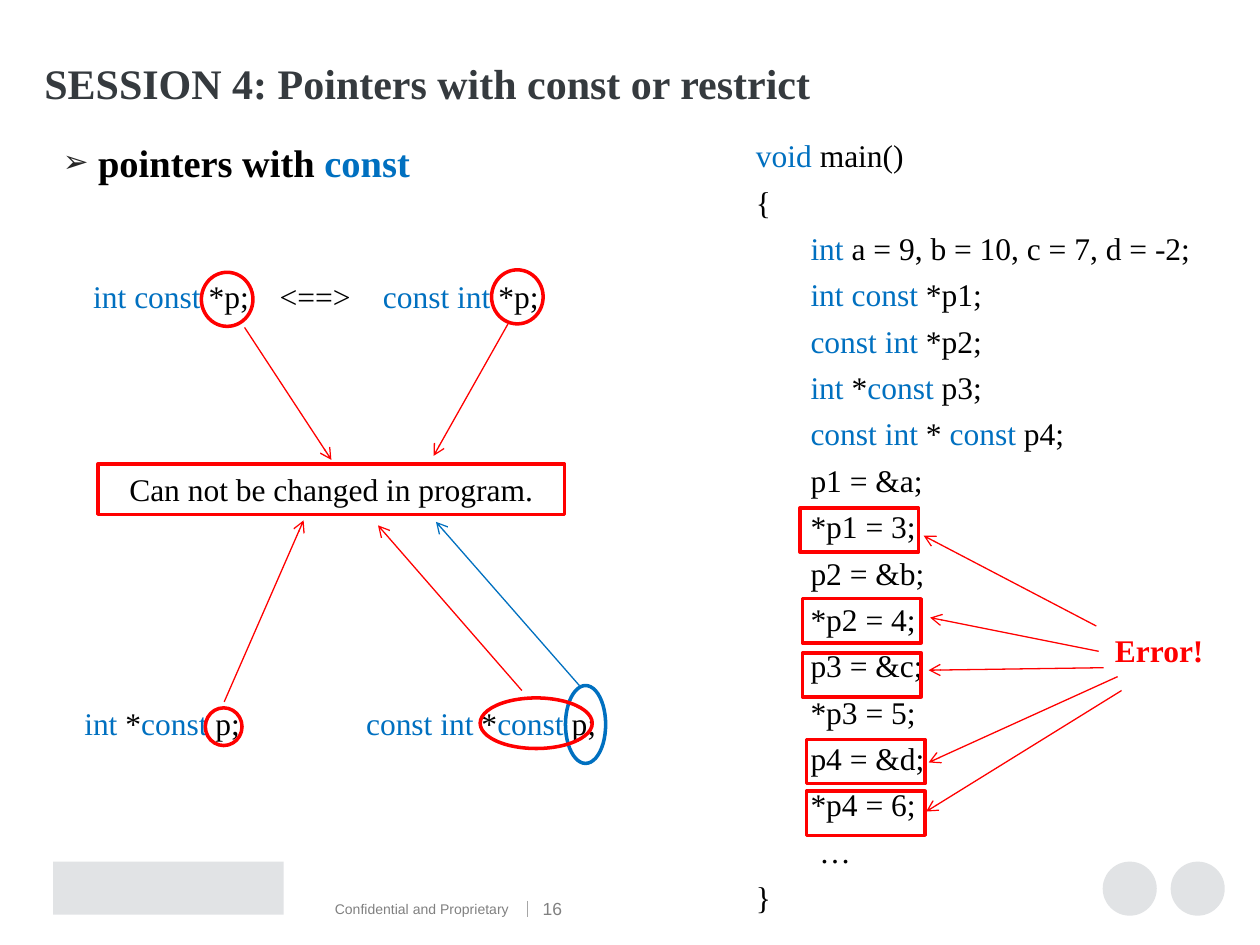
"""Build the slide on pointers with const or restrict."""
from lxml import etree
from pptx import Presentation
from pptx.dml.color import RGBColor
from pptx.enum.shapes import MSO_CONNECTOR, MSO_SHAPE
from pptx.enum.text import MSO_ANCHOR, PP_ALIGN
from pptx.oxml.ns import qn
from pptx.util import Cm, Pt

LINE = MSO_CONNECTOR.STRAIGHT
RECT, OVAL = MSO_SHAPE.RECTANGLE, MSO_SHAPE.OVAL
LEFT, MID = PP_ALIGN.LEFT, PP_ALIGN.CENTER
CENTER = MSO_ANCHOR.MIDDLE
SERIF, SANS = "Times New Roman", "Arial"
HEX = {"red": "FF0000", "blue": "0070C0", "black": "000000", "title": "353A3E",
       "gray": "808080", "rule": "A6A6A6", "pale": "E1E3E5", "bullet": "262626"}
RGB = {name: RGBColor.from_string(code) for name, code in HEX.items()}

prs = Presentation()
prs.slide_width, prs.slide_height = Cm(25.4), Cm(19.05)
slide = prs.slides.add_slide(prs.slide_layouts[5])
shapes = slide.shapes


def write(para, text, size=18, color="black", font=SERIF, bold=False):
    """Write text, with the parts between bars in blue."""
    for i, part in enumerate(text.split("|")):
        if part:
            run = para.add_run()
            run.text = part
            run.font.size, run.font.name, run.font.bold = Pt(size), font, bold
            run.font.color.rgb = RGB["blue" if i % 2 else color]


def frame(x, y, w, h):
    """Add a wrapping text box and return its text frame."""
    text = shapes.add_textbox(Cm(x), Cm(y), Cm(w), Cm(h)).text_frame
    text.word_wrap = True
    return text


for x, y, w, h, kind in [(23.6, 17.37, 1.09, 1.09, OVAL), (22.23, 17.37, 1.09, 1.09, OVAL),
                         (1.07, 17.37, 4.65, 1.07, RECT)]:
    mark = shapes.add_shape(kind, Cm(x), Cm(y), Cm(w), Cm(h))
    mark.shadow.inherit = False
    mark.fill.solid()
    mark.fill.fore_color.rgb = RGB["pale"]
    mark.line.fill.background()

foot = frame(6.5, 18.03, 4.1, 0.61)
write(foot.paragraphs[0], "Confidential and Proprietary", 8, "gray", SANS)
page = frame(10.76, 17.81, 0.84, 1.02)
page.margin_left = page.margin_right = Cm(0.18)
page.vertical_anchor = CENTER
write(page.paragraphs[0], "16", 10, "gray", SANS)

title = shapes.title
title.left, title.top, title.width, title.height = Cm(0.64), Cm(0.76), Cm(17.68), Cm(1.83)
title.text_frame.vertical_anchor = CENTER
head = title.text_frame.paragraphs[0]
head.alignment = LEFT
write(head, "SESSION 4: Pointers with const or restrict", 24, "title", bold=True)

code = [
    (0, "|void| main()"), (0, "{"),
    (1.1, "|int| a = 9, b = 10, c = 7, d = -2;"),
    (1.1, "|int const| *p1;"), (1.1, "|const int| *p2;"),
    (1.1, "|int| *|const| p3;"), (1.1, "|const int| * |const| p4;"),
    (1.1, "p1 = &a;"), (1.1, "*p1 = 3;"), (1.1, "p2 = &b;"), (1.1, "*p2 = 4;"),
    (1.1, "p3 = &c;"), (1.1, "*p3 = 5;"), (1.1, "p4 = &d;"), (1.1, "*p4 = 6;"),
    (1.28, "…"), (0, "}"),
]
body = frame(14.99, 2.62, 9.58, 15.85)
for i, (dent, text) in enumerate(code):
    para = body.add_paragraph() if i else body.paragraphs[0]
    para.space_before, para.space_after = Pt(4.3), Pt(0.6)
    para._p.get_or_add_pPr().set("marL", str(Cm(dent)))
    write(para, text)

for x, y, w, stops, text in [
    (1.63, 5.46, 9.7, [3.76, 5.84], "|int const| *p;\t<==>\t|const int| *p;"),
    (1.45, 14.07, 11.33, [5.68], "|int| *|const| p;\t|const int| *|const| p;"),
]:
    para = frame(x, y, w, 1.42).paragraphs[0]
    para.space_before = Pt(4.3)
    tabs = etree.SubElement(para._p.get_or_add_pPr(), qn("a:tabLst"))
    for stop in stops:
        etree.SubElement(tabs, qn("a:tab"), pos=str(Cm(stop)), algn="l")
    write(para, text)

topic = frame(1.02, 2.67, 13.23, 1.63).paragraphs[0]
topic.space_before = Pt(4.3)
props = topic._p.get_or_add_pPr()
props.set("marL", str(Cm(0.71)))
props.set("indent", str(-Cm(0.71)))
tint = etree.SubElement(props, qn("a:buClr"))
etree.SubElement(tint, qn("a:srgbClr"), val=HEX["bullet"])
etree.SubElement(props, qn("a:buSzPct"), val="80000")
etree.SubElement(props, qn("a:buFont"), typeface=SANS)
etree.SubElement(props, qn("a:buChar"), char="➢")
write(topic, "pointers with |const", 22, bold=True)

error = frame(22.15, 12.6, 2.44, 1.07).paragraphs[0]
error.alignment = MID
write(error, "Error!", color="red", bold=True)

spots = [(16.13, 10.24), (16.18, 12.07), (16.18, 13.16), (16.26, 14.91), (16.26, 15.95)]
rings = [(RECT, x, y, 2.39, 0.89, "red", "") for x, y in spots] + [
    (OVAL, 4.06, 5.49, 1.04, 1.09, "red", ""),
    (OVAL, 9.91, 5.44, 1.04, 1.09, "red", ""),
    (OVAL, 4.14, 14.27, 0.74, 0.76, "red", ""),
    (OVAL, 11.4, 13.82, 0.81, 1.57, "blue", ""),
    (OVAL, 9.68, 14.07, 2.26, 1.02, "red", ""),
    (RECT, 1.98, 9.35, 9.4, 1.02, "red", "Can not be changed in program."),
]
for kind, x, y, w, h, color, text in rings:
    ring = shapes.add_shape(kind, Cm(x), Cm(y), Cm(w), Cm(h))
    ring.shadow.inherit = False
    ring.fill.background()
    ring.line.color.rgb, ring.line.width = RGB[color], Pt(2)
    etree.SubElement(ring.line._get_or_add_ln(), qn("a:round"))
    if text:
        ring.text_frame.vertical_anchor = CENTER
        ring.text_frame.paragraphs[0].alignment = MID
        write(ring.text_frame.paragraphs[0], text)

lines = [
    (22.1, 12.62, 18.62, 10.8, "red"), (22.61, 13.92, 18.67, 16.36, "red"),
    (22.15, 13.13, 18.75, 12.45, "red"), (22.25, 13.46, 18.72, 13.51, "red"),
    (22.53, 13.64, 18.72, 15.37, "red"), (4.93, 6.6, 6.68, 9.27, "red"),
    (10.24, 6.53, 8.74, 9.19, "red"), (4.52, 14.15, 6.12, 10.49, "red"),
    (10.52, 13.92, 7.62, 10.59, "red"), (11.68, 13.82, 8.79, 10.52, "blue"),
    (10.64, 18.16, 10.64, 18.49, "rule"),
]
for x, y, endx, endy, color in lines:
    line = shapes.add_connector(LINE, Cm(x), Cm(y), Cm(endx), Cm(endy))
    line.line.color.rgb, line.line.width = RGB[color], Pt(0.75)
    if color != "rule":
        etree.SubElement(line.line._get_or_add_ln(), qn("a:tailEnd"), type="arrow")
    etree.SubElement(line._element.spPr, qn("a:effectLst"))

prs.save("out.pptx")
